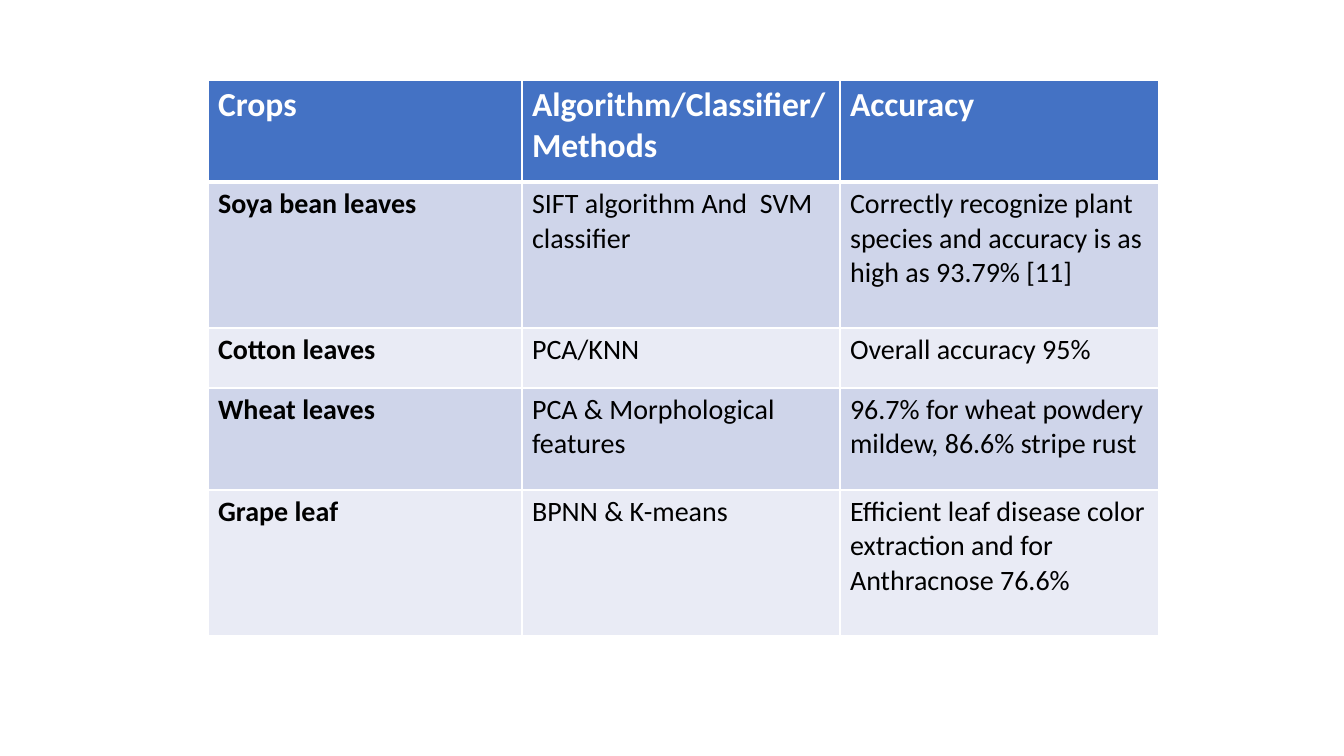
from lxml import etree
from pptx import Presentation
from pptx import util as u
from pptx.dml.color import RGBColor
from pptx.enum import text
from pptx.oxml import ns

PX = 914400 / 100.8
WHITE, BLACK, BLUE = "FFFFFF", "000000", "4472C4"
BANDS = ["CFD5EA", "E9EBF5"]


def px(length):
    return u.Emu(round(length * PX))


def color(value):
    return RGBColor.from_string(value)


def write(frame, words, size=20, bold=False, ink=BLACK, font="Calibri"):
    frame.word_wrap = True
    for number, line in enumerate(words.split("\n")):
        paragraph = frame.paragraphs[0] if number == 0 else frame.add_paragraph()
        paragraph.alignment = text.PP_ALIGN.LEFT
        run = paragraph.add_run()
        run.text = line
        run.font.name = font
        run.font.size = u.Pt(size)
        run.font.bold = bold
        run.font.color.rgb = color(ink)


def draw_borders(cell, **widths):
    properties = cell._tc.get_or_add_tcPr()
    for side in "LRTB":
        width = u.Pt(widths.get(side, 1))
        line = etree.SubElement(properties, ns.qn(f"a:ln{side}"), w=str(width))
        fill = etree.SubElement(line, ns.qn("a:solidFill"))
        etree.SubElement(fill, ns.qn("a:srgbClr"), val=WHITE)


def accuracy_table(slide, box, column_widths, row_heights, rows):
    grid = slide.shapes.add_table(len(rows), len(rows[0]), *map(px, box)).table
    for column, width in zip(grid.columns, column_widths):
        column.width = px(width)
    for row, height in zip(grid.rows, row_heights):
        row.height = px(height)
    for r, entries in enumerate(rows):
        header = r == 0
        for c, words in enumerate(entries):
            cell = grid.cell(r, c)
            draw_borders(cell, T=3 if r == 1 else 1, B=3 if header else 1)
            cell.fill.solid()
            cell.fill.fore_color.rgb = color(BLUE if header else BANDS[(r - 1) % 2])
            write(cell.text_frame, words, size=24 if header else 20,
                  bold=header or c == 0, ink=WHITE if header else BLACK)


crop_results = [
    ("Crops", "Algorithm/Classifier/\nMethods", "Accuracy"),
    ("Soya bean leaves", "SIFT algorithm And  SVM classifier",
     "Correctly recognize plant species and accuracy is as high as 93.79% [11]"),
    ("Cotton leaves", "PCA/KNN", "Overall accuracy 95%"),
    ("Wheat leaves", "PCA & Morphological features",
     "96.7% for wheat powdery mildew, 86.6% stripe rust"),
    ("Grape leaf", "BPNN & K-means",
     "Efficient leaf disease color extraction and for Anthracnose 76.6%"),
]

deck = Presentation()
deck.slide_width, deck.slide_height = px(1344), px(756)
results_slide = deck.slides.add_slide(deck.slide_layouts[6])
accuracy_table(results_slide, (208, 80, 951, 556), (314, 318, 319),
               (102, 146, 60, 102, 146), crop_results)
deck.save("out.pptx")
